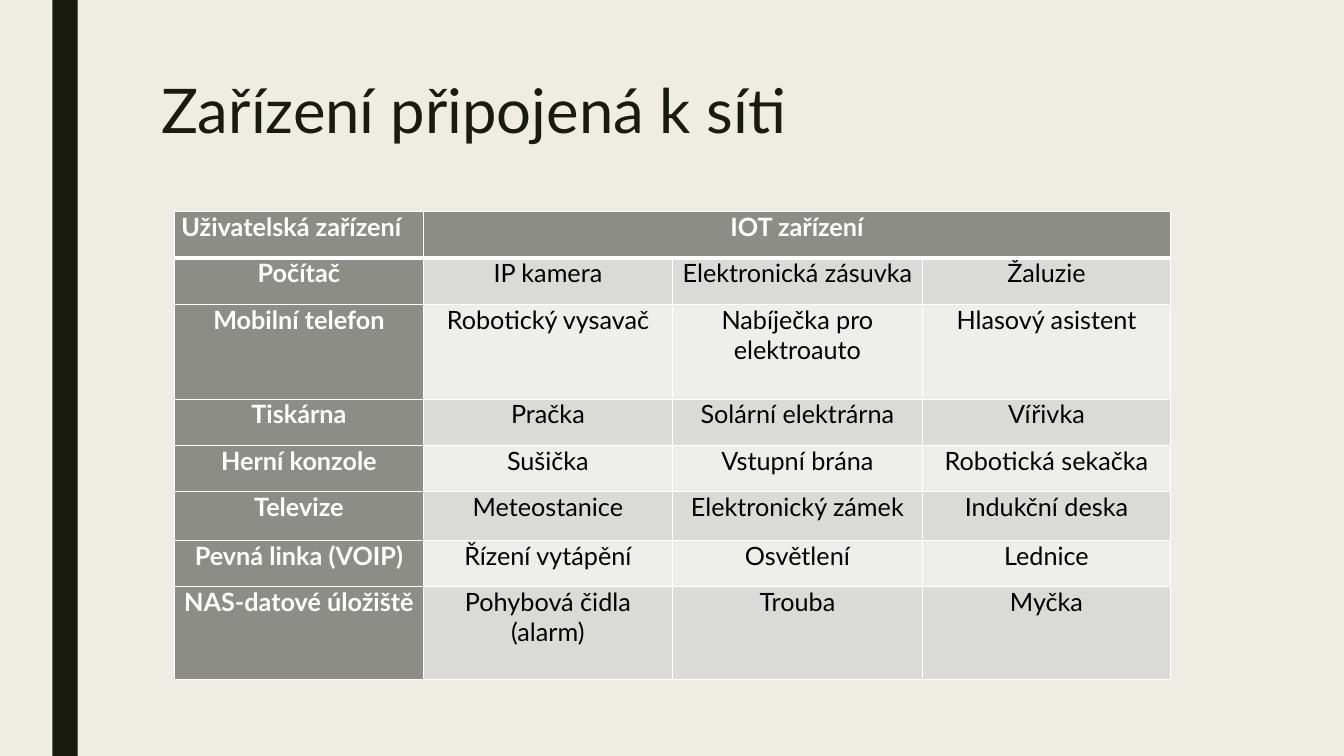
from lxml.etree import SubElement
from pptx import Presentation
from pptx.dml.color import RGBColor
from pptx.enum.shapes import MSO_SHAPE
from pptx.enum.text import MSO_ANCHOR, PP_ALIGN
from pptx.oxml.ns import qn
from pptx.util import Inches, Pt

COLORS = {
    "background": "EFEDE3",
    "dark": "191B0E",
    "header": "8C8D86",
    "odd": "DADBD9",
    "even": "EEEEED",
    "white": "FFFFFF",
    "black": "000000",
}
FONT = "Lato"
COLUMN_WIDTHS = [2.47, 2.47, 2.48, 2.46]
ROW_HEIGHTS = [0.46, 0.46, 0.94, 0.46, 0.46, 0.48, 0.46, 0.92]
DEVICES = [
    ["Uživatelská zařízení", "IOT zařízení", "", ""],
    ["Počítač", "IP kamera", "Elektronická zásuvka", "Žaluzie"],
    ["Mobilní telefon", "Robotický vysavač", "Nabíječka pro elektroauto", "Hlasový asistent"],
    ["Tiskárna", "Pračka", "Solární elektrárna", "Vířivka"],
    ["Herní konzole", "Sušička", "Vstupní brána", "Robotická sekačka"],
    ["Televize", "Meteostanice", "Elektronický zámek", "Indukční deska"],
    ["Pevná linka (VOIP)", "Řízení vytápění", "Osvětlení", "Lednice"],
    ["NAS-datové úložiště", "Pohybová čidla (alarm)", "Trouba", "Myčka"],
]


def rgb(name):
    return RGBColor.from_string(COLORS[name])


def set_attributes(target, values):
    for name, value in values.items():
        setattr(target, name, value)


def write_text(p, text, color, size, bold=False, **paragraph_format):
    set_attributes(p, paragraph_format)
    r = p.add_run()
    r.text = text
    set_attributes(r.font, {"name": FONT, "size": Pt(size), "bold": bold})
    r.font.color.rgb = rgb(color)


def add_side_bar(s):
    sp = s.shapes.add_shape(MSO_SHAPE.RECTANGLE, Inches(0.52), 0, Inches(0.25), Inches(7.5))
    sp.shadow.inherit = False
    sp.fill.solid()
    sp.fill.fore_color.rgb = rgb("dark")
    sp.line.fill.background()


def add_title(s, text):
    sp = s.shapes.add_textbox(Inches(1.5), Inches(0.75), Inches(10.5), Inches(1.62))
    tf = sp.text_frame
    tf.word_wrap = True
    write_text(tf.paragraphs[0], text, "dark", 44, line_spacing=0.89)


def set_borders(cell, bottom):
    tcPr = cell._tc.get_or_add_tcPr()
    for side, width in {"lnL": 1, "lnR": 1, "lnT": 1, "lnB": bottom}.items():
        ln = SubElement(tcPr, qn(f"a:{side}"), w=str(Pt(width)))
        fill = SubElement(ln, qn("a:solidFill"))
        SubElement(fill, qn("a:srgbClr"), val=COLORS["white"])


def format_cell(cell, row, column, text):
    is_header = row == 0 or column == 0
    set_attributes(cell, {
        "margin_left": Inches(0.07),
        "margin_right": Inches(0.07),
        "margin_top": 0,
        "margin_bottom": 0,
        "vertical_anchor": MSO_ANCHOR.TOP,
    })
    set_borders(cell, 3 if row == 0 else 1)
    cell.fill.solid()
    cell.fill.fore_color.rgb = rgb("header" if is_header else "odd" if row % 2 else "even")
    if text:
        write_text(
            cell.text_frame.paragraphs[0], text, "white" if is_header else "black", 18, is_header,
            alignment=PP_ALIGN.JUSTIFY if row == column == 0 else PP_ALIGN.CENTER,
            space_after=Pt(8),
        )


def add_device_table(s):
    table = s.shapes.add_table(
        len(DEVICES), len(COLUMN_WIDTHS), Inches(1.73), Inches(2.1),
        Inches(sum(COLUMN_WIDTHS)), Inches(sum(ROW_HEIGHTS)),
    ).table
    for column, width in zip(table.columns, COLUMN_WIDTHS):
        column.width = Inches(width)
    for row, height in zip(table.rows, ROW_HEIGHTS):
        row.height = Inches(height)
    table.cell(0, 1).merge(table.cell(0, 3))
    for i, names in enumerate(DEVICES):
        for j, name in enumerate(names):
            format_cell(table.cell(i, j), i, j, name)


def main():
    prs = Presentation()
    set_attributes(prs, {"slide_width": Inches(13.33), "slide_height": Inches(7.5)})
    s = prs.slides.add_slide(prs.slide_layouts[6])
    s.background.fill.solid()
    s.background.fill.fore_color.rgb = rgb("background")
    add_side_bar(s)
    add_title(s, "Zařízení připojená k síti")
    add_device_table(s)
    prs.save("out.pptx")


if __name__ == "__main__":
    main()
